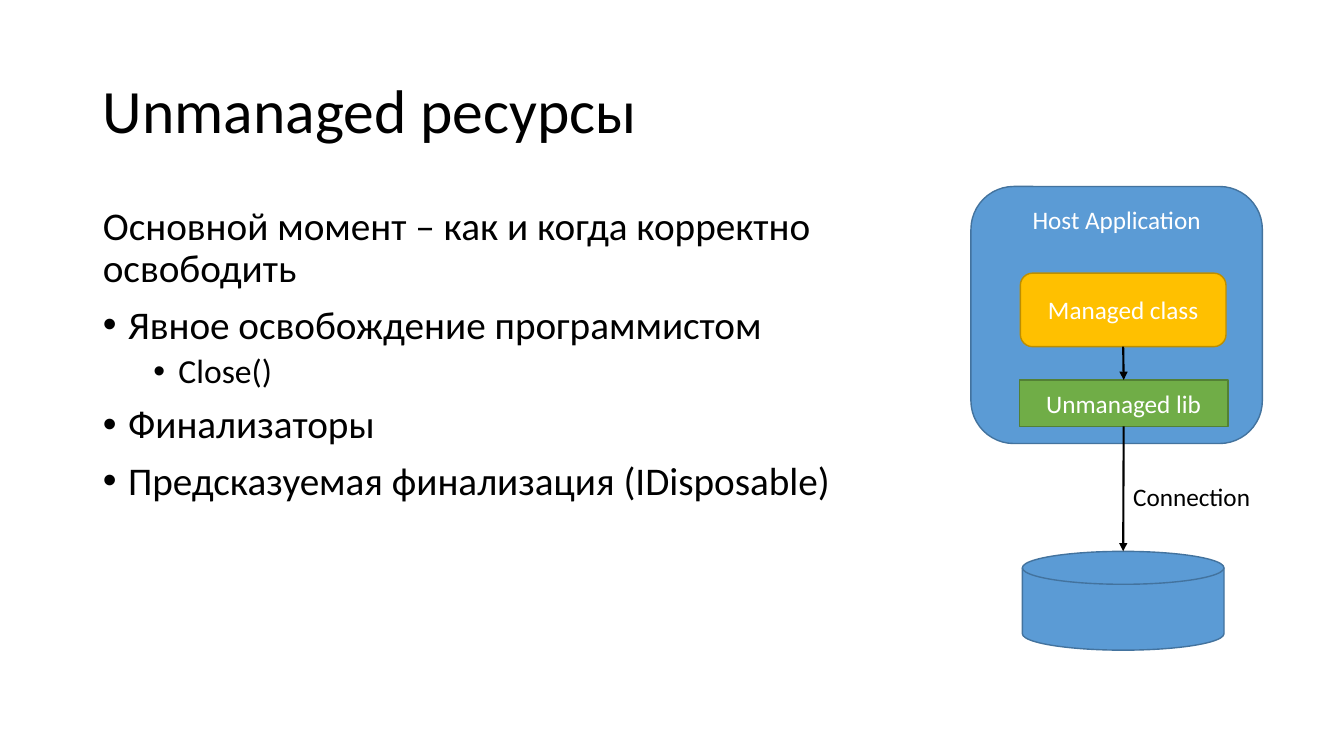
import pptx
import pptx.util
import pptx.dml.color
import pptx.enum.shapes
import pptx.enum.text
import pptx.oxml.ns
import lxml.etree

Inches = pptx.util.Inches
Pt = pptx.util.Pt
RGBColor = pptx.dml.color.RGBColor
SHAPE = pptx.enum.shapes.MSO_SHAPE
ANCHOR = pptx.enum.text.MSO_ANCHOR
ALIGN = pptx.enum.text.PP_ALIGN
AUTO_SIZE = pptx.enum.text.MSO_AUTO_SIZE
qn = pptx.oxml.ns.qn

FONT = "Calibri"
BLACK = RGBColor(0x00, 0x00, 0x00)
WHITE = RGBColor(0xFF, 0xFF, 0xFF)
BLUE = RGBColor(0x5B, 0x9B, 0xD5)
BLUE_LINE = RGBColor(0x43, 0x73, 0x9E)
GREEN = RGBColor(0x70, 0xAD, 0x47)
GREEN_LINE = RGBColor(0x53, 0x80, 0x35)
GOLD = RGBColor(0xFF, 0xC0, 0x00)
GOLD_LINE = RGBColor(0xBD, 0x8E, 0x00)

BULLETS = [
    ("Основной момент – как и когда корректно освободить", 0, False),
    ("Явное освобождение программистом", 0, True),
    ("Close()", 1, True),
    ("Финализаторы", 0, True),
    ("Предсказуемая финализация (IDisposable)", 0, True),
]


def add_run(p, text, size, color):
    """Append a formatted run to a paragraph."""
    r = p.add_run()
    r.text = text
    r.font.name = FONT
    r.font.size = Pt(size)
    r.font.color.rgb = color


def place(sp, x, y, w, h):
    """Move a placeholder to a box given in inches."""
    sp.left, sp.top, sp.width, sp.height = (Inches(v) for v in (x, y, w, h))


def set_bullet(p, level, bulleted):
    """Set the indent and bullet of a list paragraph."""
    pPr = p._p.get_or_add_pPr()
    left = 0.25 + 0.5 * level if bulleted else 0
    pPr.set("marL", str(Inches(left)))
    pPr.set("indent", str(Inches(-0.25 if bulleted else 0)))
    if bulleted:
        lxml.etree.SubElement(pPr, qn("a:buFont")).set("typeface", "Arial")
        lxml.etree.SubElement(pPr, qn("a:buChar")).set("char", "•")
    else:
        lxml.etree.SubElement(pPr, qn("a:buNone"))


def fill_title(sp, x, y, w, h):
    """Place and write the slide title."""
    place(sp, x, y, w, h)
    tf = sp.text_frame
    tf.auto_size = AUTO_SIZE.NONE
    tf.vertical_anchor = ANCHOR.MIDDLE
    p = tf.paragraphs[0]
    p.alignment = ALIGN.LEFT
    p.line_spacing = 0.9
    add_run(p, "Unmanaged ресурсы", 44, BLACK)


def fill_body(sp, x, y, w, h):
    """Place and write the bullet list."""
    place(sp, x, y, w, h)
    tf = sp.text_frame
    tf.auto_size = AUTO_SIZE.NONE
    for i, (text, level, bulleted) in enumerate(BULLETS):
        p = tf.add_paragraph() if i else tf.paragraphs[0]
        p.level = level
        p.line_spacing = 0.9
        p.space_before = Pt(5 if level else 10)
        set_bullet(p, level, bulleted)
        add_run(p, text, 24 if level else 28, BLACK)


def add_block(s, kind, x, y, w, h, fill, line, text="", anchor=ANCHOR.MIDDLE):
    """Add a filled diagram shape with an optional caption."""
    sp = s.shapes.add_shape(kind, Inches(x), Inches(y), Inches(w), Inches(h))
    sp.shadow.inherit = False
    sp.fill.solid()
    sp.fill.fore_color.rgb = fill
    sp.line.color.rgb = line
    sp.line.width = Pt(1)
    if text:
        tf = sp.text_frame
        tf.word_wrap = True
        tf.vertical_anchor = anchor
        p = tf.paragraphs[0]
        p.alignment = ALIGN.CENTER
        add_run(p, text, 18, WHITE)
    return sp


def add_arrow(s, upper, lower):
    """Connect the bottom of one shape to the top of another."""
    cx = s.shapes.add_connector(pptx.enum.shapes.MSO_CONNECTOR.STRAIGHT, 0, 0, 0, 0)
    cx.begin_x, cx.begin_y = upper.left + upper.width // 2, upper.top + upper.height
    cx.end_x, cx.end_y = lower.left + lower.width // 2, lower.top
    cx.line.color.rgb = BLACK
    cx.line.width = Pt(1.5)
    ln = cx.line._get_or_add_ln()
    lxml.etree.SubElement(ln, qn("a:tailEnd")).set("type", "triangle")
    lxml.etree.SubElement(cx._element.spPr, qn("a:effectLst"))


def add_label(s, x, y, w, h, text):
    """Add an unwrapped text label."""
    sp = s.shapes.add_textbox(Inches(x), Inches(y), Inches(w), Inches(h))
    tf = sp.text_frame
    tf.word_wrap = False
    tf.auto_size = AUTO_SIZE.SHAPE_TO_FIT_TEXT
    add_run(tf.paragraphs[0], text, 18, BLACK)


def draw_diagram(s, x, y, w):
    """Draw the application, its library and the connected store."""
    add_block(s, SHAPE.ROUNDED_RECTANGLE, x, y, w, 2.55, BLUE, BLUE_LINE,
              "Host Application", ANCHOR.TOP)
    lib = add_block(s, SHAPE.RECTANGLE, x + 0.48, y + 1.92, 2.07, 0.46,
                    GREEN, GREEN_LINE, "Unmanaged lib")
    store = add_block(s, SHAPE.FLOWCHART_MAGNETIC_DISK, x + 0.51, y + 3.62, 2, 0.98,
                      BLUE, BLUE_LINE)
    add_arrow(s, lib, store)
    add_label(s, x + 1.51, y + 2.88, 1.38, 0.4, "Connection")
    managed = add_block(s, SHAPE.ROUNDED_RECTANGLE, x + 0.49, y + 0.86, 2.04, 0.73,
                        GOLD, GOLD_LINE, "Managed class")
    add_arrow(s, managed, lib)


def build_slide(prs):
    """Add the slide on unmanaged resources."""
    s = prs.slides.add_slide(prs.slide_layouts[1])
    fill_title(s.shapes.title, 0.92, 0.4, 11.5, 1.45)
    fill_body(s.placeholders[1], 0.92, 2, 7.64, 4.76)
    draw_diagram(s, 9.63, 1.85, 2.89)


def main():
    """Build and save the presentation."""
    prs = pptx.Presentation()
    prs.slide_width = Inches(13.33)
    prs.slide_height = Inches(7.5)
    build_slide(prs)
    prs.save("out.pptx")


if __name__ == "__main__":
    main()
